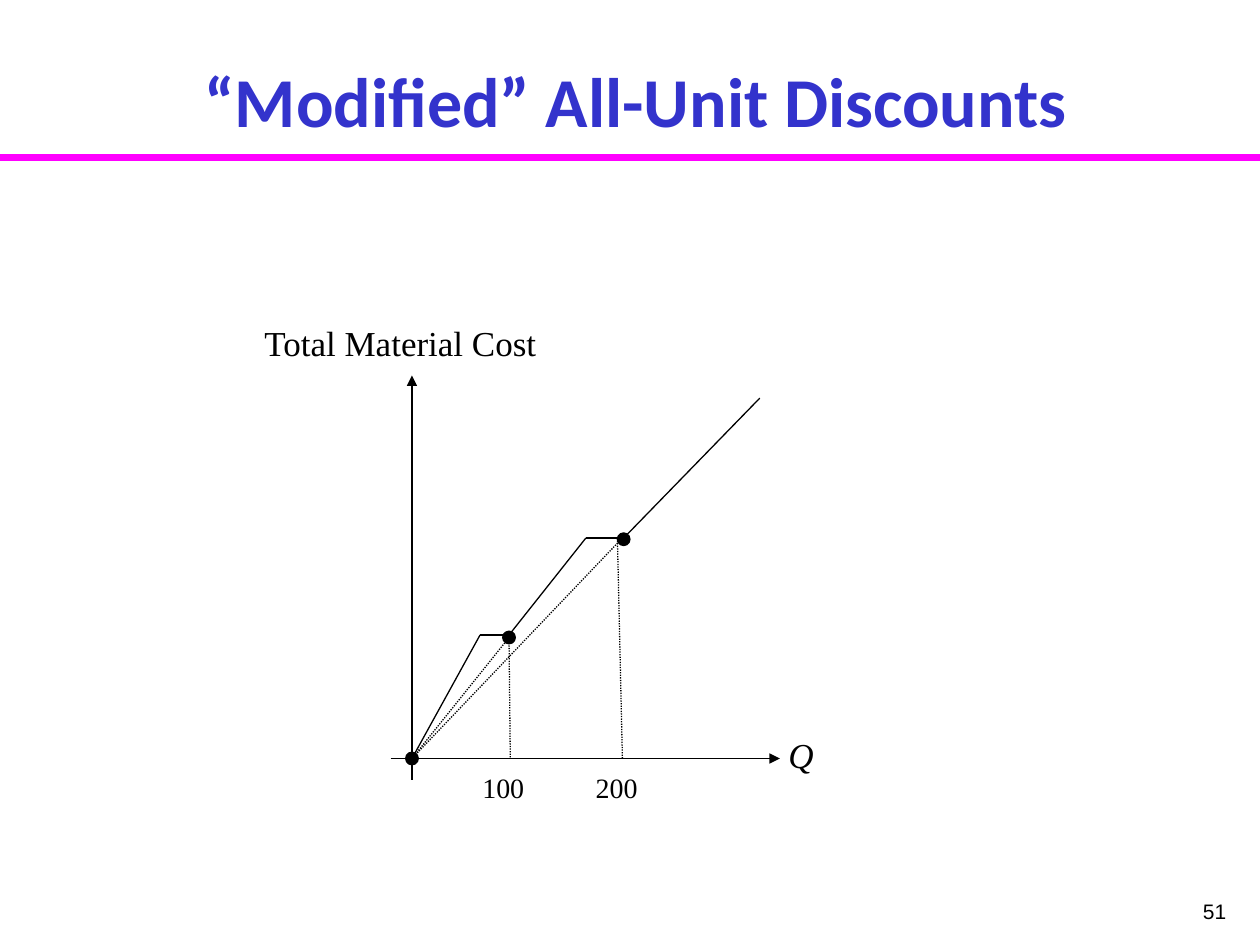
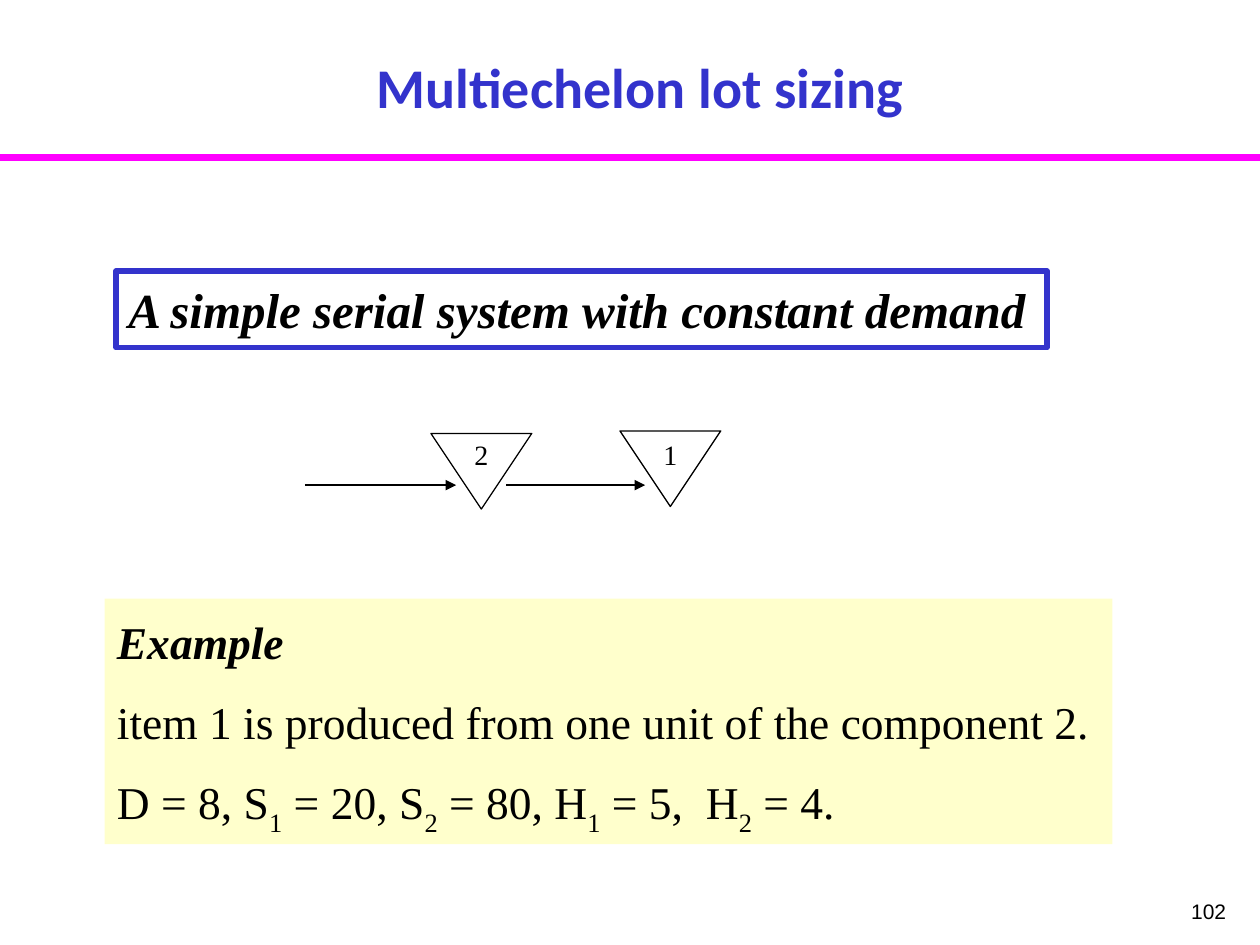
from lxml.etree import SubElement
from pptx import Presentation
from pptx.dml.color import RGBColor
from pptx.enum.dml import MSO_LINE
from pptx.enum.shapes import MSO_CONNECTOR, MSO_SHAPE
from pptx.enum.text import MSO_ANCHOR, MSO_AUTO_SIZE, PP_ALIGN
from pptx.oxml.ns import qn
from pptx.util import Inches, Pt

COLOURS = {"title": "3333CC", "band": "FF00FF", "ink": "000000",
           "paper": "FFFFFF", "note": "FFFFCC"}
SERIF = "Times New Roman"


def colour(name):
    """Look up a named colour."""
    return RGBColor.from_string(COLOURS[name])


def add_run(paragraph, text, size, font=SERIF, ink="ink", bold=False,
            italic=False, subscript=False):
    """Append one formatted run to a paragraph."""
    run = paragraph.add_run()
    run.text = text
    run.font.name, run.font.size = font, Pt(size)
    run.font.bold, run.font.italic = bold, italic
    run.font.color.rgb = colour(ink)
    if subscript:
        run._r.get_or_add_rPr().set("baseline", "-30000")


def add_label(slide, box, text, size, align=PP_ALIGN.LEFT, **style):
    """Add a one-line text box."""
    frame = slide.shapes.add_textbox(*map(Inches, box)).text_frame
    frame.word_wrap = True
    paragraph = frame.paragraphs[0]
    paragraph.alignment = align
    add_run(paragraph, text, size, **style)
    return frame


def add_shape(slide, kind, box, fill=None, line=None, width=0.75):
    """Add a flat preset shape with optional fill and outline."""
    shape = slide.shapes.add_shape(kind, *map(Inches, box))
    shape.shadow.inherit = False
    if fill:
        shape.fill.solid()
        shape.fill.fore_color.rgb = colour(fill)
    else:
        shape.fill.background()
    if line:
        shape.line.color.rgb = colour(line)
        shape.line.width = Pt(width)
    else:
        shape.line.fill.background()
    return shape


def add_line(slide, start, end, ink="ink", width=0.75, dotted=False, arrow=False):
    """Draw a straight line, with an arrowhead at its end if asked."""
    line = slide.shapes.add_connector(
        MSO_CONNECTOR.STRAIGHT, *map(Inches, (*start, *end)))
    line.line.color.rgb = colour(ink)
    line.line.width = Pt(width)
    if dotted:
        line.line.dash_style = MSO_LINE.ROUND_DOT
    if arrow:
        SubElement(line.line._get_or_add_ln(), qn("a:tailEnd"), type="triangle")
    SubElement(line._element.spPr, qn("a:effectLst"))


def add_framed_slide(presentation, title, title_box, title_size, number):
    """Add a slide with its title, band and page number."""
    slide = presentation.slides.add_slide(presentation.slide_layouts[5])
    add_line(slide, (0, 1.25), (10, 1.25), "band", 4)
    heading = slide.shapes.title
    heading.left, heading.top, heading.width, heading.height = map(Inches, title_box)
    frame = heading.text_frame
    frame.auto_size = MSO_AUTO_SIZE.NONE
    frame.vertical_anchor = MSO_ANCHOR.BOTTOM
    paragraph = frame.paragraphs[0]
    paragraph.alignment = PP_ALIGN.CENTER
    add_run(paragraph, title, title_size, "Calibri", "title", bold=True)
    add_label(slide, (7.75, 7.08, 2.08, 0.42), number, 12, PP_ALIGN.RIGHT, font="Arial")
    return slide


def draw_cost_graph(slide, left, base):
    """Draw the stepped cost curve, with its origin at left, base."""
    def at(x, y):
        return left + x, base - y

    add_line(slide, at(0, -0.17), at(0, 3.04), arrow=True)
    add_line(slide, at(-0.17, 0), at(2.92, 0), arrow=True)
    origin, first_break, second_break = (0, 0), (0.77, 0.96), (1.68, 1.74)
    curve = [origin, (0.54, 0.98), (0.77, 0.98), (1.38, 1.75), (1.68, 1.75), (2.76, 2.86)]
    for start, end in zip(curve, curve[1:]):
        add_line(slide, at(*start), at(*end))
    guides = [(origin, first_break), (origin, (1.66, 1.74)),
              (first_break, (0.78, 0)), ((1.63, 1.75), (1.67, 0))]
    for start, end in guides:
        add_line(slide, at(*start), at(*end), dotted=True)
    dot = 0.1
    for x, y in (origin, first_break, second_break):
        corner = at(x - dot / 2, y + dot / 2)
        add_shape(slide, MSO_SHAPE.OVAL, (*corner, dot, dot), "ink", "ink")
    add_label(slide, (*at(-1.27, 3.52), 2.52, 0.44), "Total Material Cost", 20)
    add_label(slide, (*at(2.89, 0.25), 0.5, 0.44), "Q", 20, italic=True)
    for quantity, x in (("100", 0.46), ("200", 1.36)):
        add_label(slide, (*at(x, -0.05), 0.6, 0.4), quantity, 16)


def draw_serial_system(slide, left, top):
    """Draw two stock triangles fed by arrows, from the first arrow's left end."""
    arrow_y = top + 0.43
    for item, x, drop, start in (("2", 1, 0.02, 0), ("1", 2.5, 0, 1.6)):
        triangle = add_shape(slide, MSO_SHAPE.ISOSCELES_TRIANGLE,
                             (left + x, top + drop, 0.8, 0.6), line="ink")
        triangle.rotation = 180
        add_line(slide, (left + start, arrow_y), (left + x + 0.2, arrow_y), arrow=True)
        frame = add_label(slide, (left + x + 0.3, top + 0.05, 0.2, 0.2),
                          item, 16, PP_ALIGN.CENTER)
        frame.margin_left = frame.margin_right = 0
        frame.margin_top = frame.margin_bottom = 0


def add_statement(slide, box, text):
    """Add the outlined statement."""
    frame = add_shape(slide, MSO_SHAPE.RECTANGLE, box, line="title", width=3).text_frame
    frame.word_wrap = False
    frame.vertical_anchor = MSO_ANCHOR.MIDDLE
    paragraph = frame.paragraphs[0]
    paragraph.alignment = PP_ALIGN.LEFT
    add_run(paragraph, text, 28, bold=True, italic=True)


def add_example(slide, box):
    """Add the shaded example with its parameters."""
    frame = add_shape(slide, MSO_SHAPE.RECTANGLE, box, "note").text_frame
    frame.word_wrap = True
    frame.vertical_anchor = MSO_ANCHOR.BOTTOM
    heading = frame.paragraphs[0]
    add_run(heading, "Example", 26, bold=True, italic=True)
    sentence, values = frame.add_paragraph(), frame.add_paragraph()
    add_run(sentence, "item 1 is produced from one unit of the component 2.", 26)
    parameters = [("D = 8, S", "1"), (" = 20, S", "2"), (" = 80, H", "1"),
                  (" = 5,  H", "2")]
    for text, index in parameters:
        add_run(values, text, 26)
        add_run(values, index, 26, subscript=True)
    add_run(values, " = 4.", 26)
    for paragraph in frame.paragraphs:
        paragraph.alignment = PP_ALIGN.LEFT
    for paragraph in (sentence, values):
        paragraph.space_before = Pt(14.5)


def main():
    """Build and save the presentation."""
    presentation = Presentation()
    presentation.slide_width, presentation.slide_height = Inches(10), Inches(7.5)

    discounts = add_framed_slide(presentation, "“Modified” All-Unit Discounts",
                                 (0.42, 0.42, 9.25, 0.75), 40, "51")
    draw_cost_graph(discounts, 3.27, 6.02)

    lot_sizing = add_framed_slide(presentation, "Multiechelon lot sizing",
                                  (0.67, 0.17, 8.82, 0.83), 32, "102")
    add_statement(lot_sizing, (0.92, 2.15, 7.39, 0.61),
                  "A simple serial system with constant demand")
    draw_serial_system(lot_sizing, 2.42, 3.42)
    add_example(lot_sizing, (0.83, 4.75, 8, 1.95))

    presentation.save("out.pptx")


if __name__ == "__main__":
    main()
